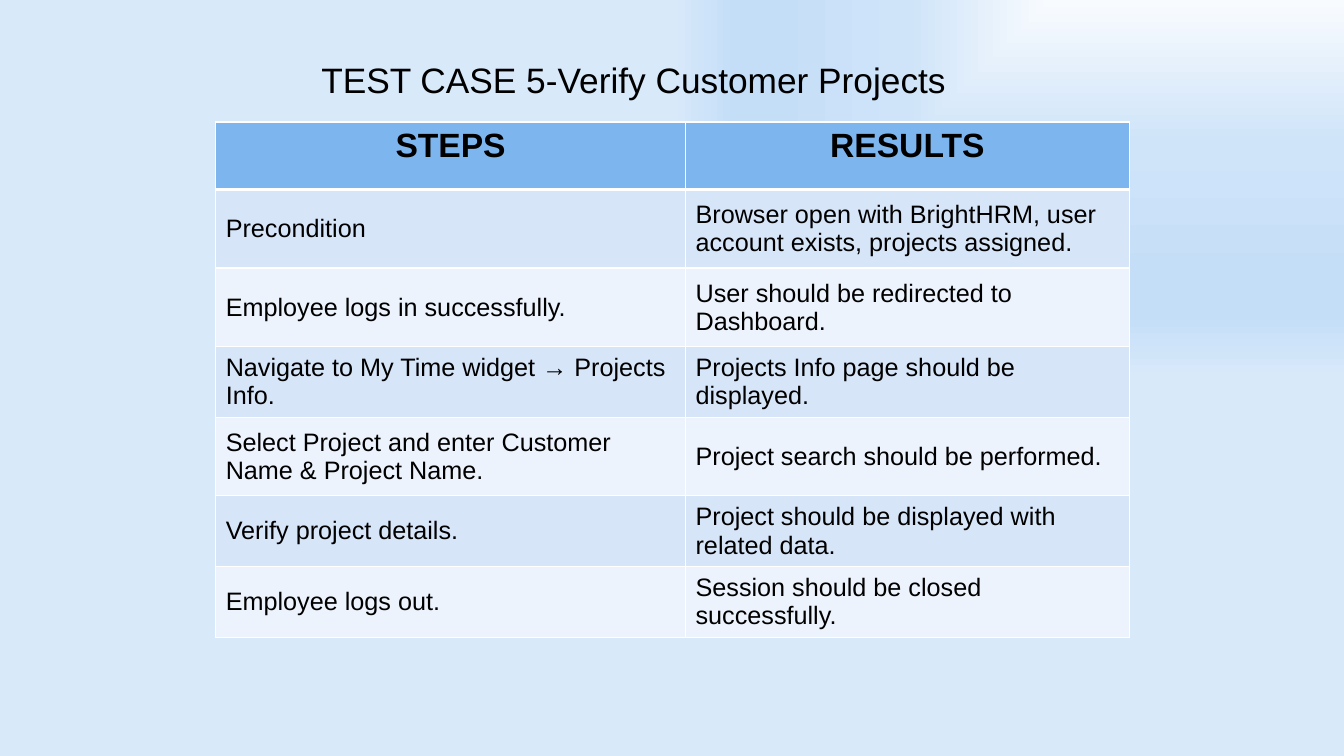
from lxml.etree import SubElement as Sub
from pptx import Presentation
from pptx.dml.color import RGBColor as RGB
from pptx.enum.text import MSO_ANCHOR as Anchor, PP_ALIGN as Align
from pptx.oxml import parse_xml
from pptx.oxml.ns import nsdecls, qn
from pptx.util import Inches, Pt

HEAD = ("STEPS", "RESULTS")
CASES = [
    ("Precondition", "Browser open with BrightHRM, user account exists, projects assigned."),
    ("Employee logs in successfully.", "User should be redirected to Dashboard."),
    ("Navigate to My Time widget → Projects Info.", "Projects Info page should be displayed."),
    ("Select Project and enter Customer Name & Project Name.", "Project search should be performed."),
    ("Verify project details.", "Project should be displayed with related data."),
    ("Employee logs out.", "Session should be closed successfully."),
]
GLOW = [(0, "F8FBFE"), (38, "CFE4F9"), (74, "C4DEF8"), (83, "C4DEF8"), (100, "D8E9FA")]
LOW, TALL = 8.93, 10.4
WIDTHS = (34.96, 33.01)
HEIGHTS = (LOW, TALL, TALL, LOW, TALL, LOW, LOW)


def color(code):
    return RGB.from_string(code)


class Page:
    """Holds the style and the slide; lengths are percent of the slide's size."""

    font, ink, rule = "Arial", "000000", "FFFFFF"
    head, bands = "7DB6EF", ("D7E5F9", "ECF3FC")

    def __init__(self, deck):
        self.deck = deck
        self.slide = deck.slides.add_slide(deck.slide_layouts[6])

    def across(self, share):
        return round(self.deck.slide_width * share / 100)

    def down(self, share):
        return round(self.deck.slide_height * share / 100)

    def box(self, left, top, width, height):
        return self.across(left), self.down(top), self.across(width), self.down(height)

    def glow(self, stops):
        """Fill the background with a gradient that spreads from the top right corner."""
        marks = "".join(
            f'<a:gs pos="{at * 1000}"><a:srgbClr val="{code}"/></a:gs>' for at, code in stops)
        back = parse_xml(
            f'<p:bg {nsdecls("p", "a")}><p:bgPr><a:gradFill rotWithShape="1">'
            f'<a:gsLst>{marks}</a:gsLst><a:path path="rect">'
            '<a:fillToRect l="100000" b="100000"/></a:path></a:gradFill>'
            '<a:effectLst/></p:bgPr></p:bg>')
        self.slide.element.cSld.insert(0, back)

    def text(self, frame, words, size, bold=False, align=Align.LEFT):
        frame.word_wrap = True
        para = frame.paragraphs[0]
        para.alignment = align
        run = para.add_run()
        run.text = words
        run.font.name, run.font.size, run.font.bold = self.font, Pt(size), bold
        run.font.color.rgb = color(self.ink)

    def title(self, words, *place):
        shape = self.slide.shapes.add_textbox(*self.box(*place))
        self.text(shape.text_frame, words, 25.2, align=Align.CENTER)

    def edge(self, cell, top, bottom):
        props = cell._tc.get_or_add_tcPr()
        for side, width in zip("LRTB", (1, 1, top, bottom)):
            line = Sub(props, qn(f"a:ln{side}"), w=str(Pt(width)))
            Sub(Sub(line, qn("a:solidFill")), qn("a:srgbClr"), val=self.rule)

    def table(self, rows, left, top, widths, heights):
        place = self.box(left, top, sum(widths), sum(heights))
        grid = self.slide.shapes.add_table(len(rows), len(widths), *place).table
        for col, width in zip(grid.columns, widths):
            col.width = self.across(width)
        for row, height in zip(grid.rows, heights):
            row.height = self.down(height)
        for r, row in enumerate(rows):
            for c, words in enumerate(row):
                cell = grid.cell(r, c)
                self.edge(cell, 3 if r == 1 else 1, 3 if r == 0 else 1)
                cell.fill.solid()
                if r == 0:
                    cell.fill.fore_color.rgb = color(self.head)
                    self.text(cell.text_frame, words, 24, True, Align.CENTER)
                else:
                    cell.fill.fore_color.rgb = color(self.bands[(r - 1) % 2])
                    cell.vertical_anchor = Anchor.MIDDLE
                    self.text(cell.text_frame, words, 18)


def main():
    deck = Presentation()
    deck.slide_width, deck.slide_height = Inches(13.33), Inches(7.5)
    page = Page(deck)
    page.glow(GLOW)
    page.title("TEST CASE 5-Verify Customer Projects", 11.63, 7.07, 71.04, 7)
    page.table([HEAD, *CASES], 16.05, 16.13, WIDTHS, HEIGHTS)
    deck.save("out.pptx")


if __name__ == "__main__":
    main()
